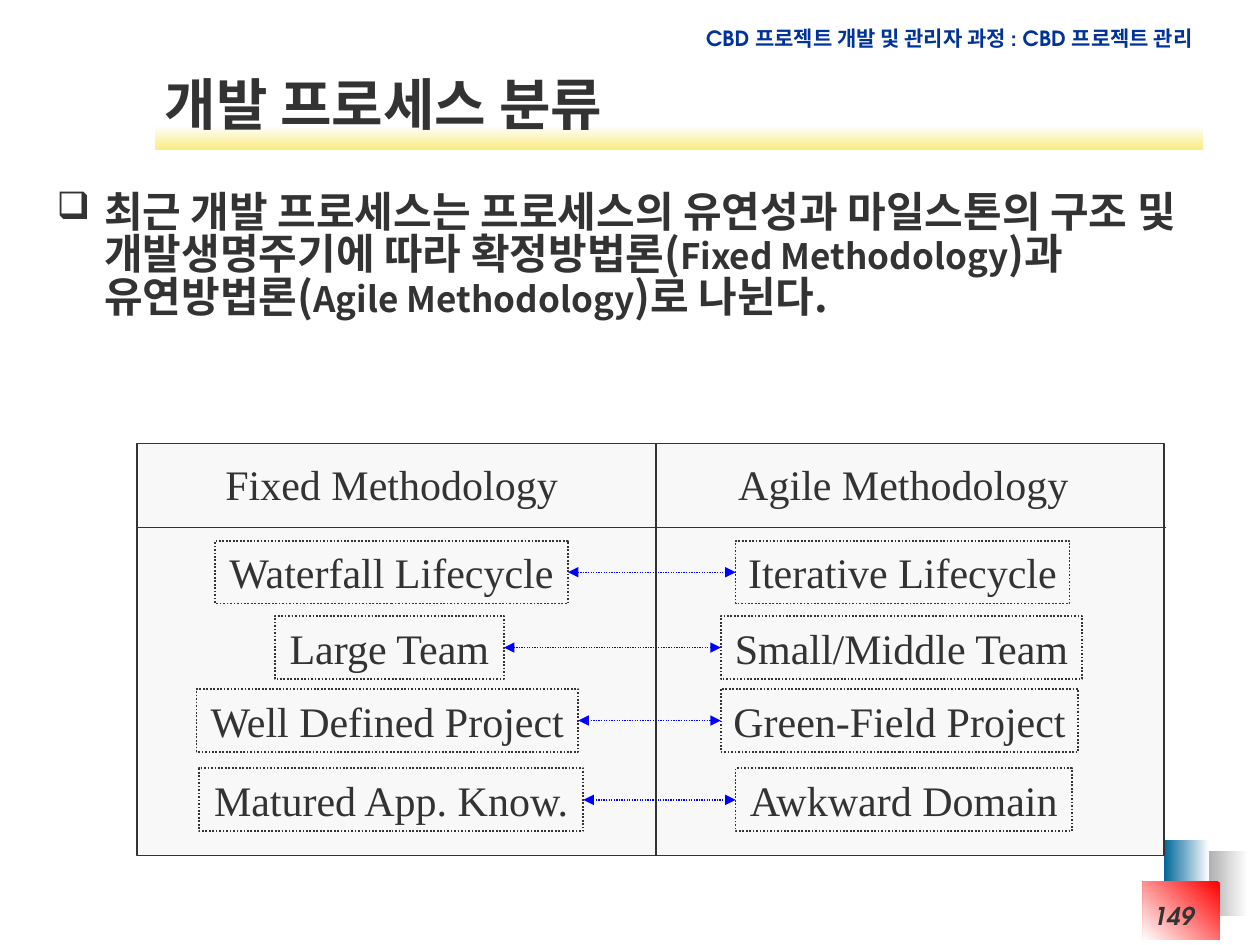
"""Build the slide that compares fixed and agile development processes."""
from lxml import etree
from pptx import Presentation
from pptx import util as u
from pptx.dml.color import RGBColor
from pptx.enum import dml, shapes, text
from pptx.oxml import ns

rgb = RGBColor.from_string
INK, KOREAN, GOTHIC, SERIF = "333333", "Noto Sans CJK KR", "TeX Gyre Adventor", "Times New Roman"
LEFT, CENTER, RIGHT = text.PP_ALIGN.LEFT, text.PP_ALIGN.CENTER, text.PP_ALIGN.RIGHT

prs = Presentation()
prs.slide_width, prs.slide_height = u.Cm(25.4), u.Cm(19.05)
s = prs.slides.add_slide(prs.slide_layouts[6])


def add_rect(box, line=None):
    sp = s.shapes.add_shape(shapes.MSO_SHAPE.RECTANGLE, *map(u.Cm, box))
    sp.shadow.inherit = False
    sp.fill.background()
    if line:
        sp.line.color.rgb = rgb(line)
        sp.line.width = u.Pt(1)
    else:
        sp.line.fill.background()
    return sp


def write(sp, runs, font, align, color=INK, bold=False, italic=False, wrap=True):
    tf = sp.text_frame
    tf.word_wrap = wrap
    p = tf.paragraphs[0]
    p.alignment = align
    for words, size in runs:
        r = p.add_run()
        r.text = words
        r.font.size, r.font.bold, r.font.italic = u.Pt(size), bold, italic
        r.font.color.rgb = rgb(color)
        r.font.name = font
        etree.SubElement(r._r.get_or_add_rPr(), ns.qn("a:ea"), typeface=KOREAN)
    return p


for box, start, end, angle in [
    ((24.13, 17.15, 1.02, 1.32), "FFFFFF", "969696", 180),
    ((23.47, 16.94, 0.91, 1.32), "FFFFFF", "006699", 180),
    ((23.04, 17.78, 1.55, 1.17), "FF0000", "FFFFFF", 225),
    ((3.12, 2.54, 21.13, 0.48), "FEFEFE", "FBEC7F", 270),
]:
    sp = add_rect(box)
    sp.fill.gradient()
    sp.fill.gradient_angle = angle
    for stop, color in zip(sp.fill.gradient_stops, (start, end)):
        stop.color.rgb = rgb(color)

course = s.shapes.add_textbox(u.Cm(13.72), u.Cm(0.46), u.Cm(10.57), u.Cm(0.76))
p = write(course, [("CBD 프로젝트 개발 및 관리자 과정 : CBD 프로젝트 관리", 12)],
          GOTHIC, RIGHT, "003399", bold=True)
p.line_spacing = 0.86

title = s.shapes.add_textbox(u.Cm(3.07), u.Cm(1.3), u.Cm(21.13), u.Cm(1.55))
title.text_frame.vertical_anchor = text.MSO_ANCHOR.MIDDLE
write(title, [("개발 프로세스 분류", 32)], KOREAN, LEFT, bold=True)

body = s.shapes.add_textbox(u.Cm(0.89), u.Cm(3.78), u.Cm(23.37), u.Cm(14))
p = write(body, [
    ("최근 개발 프로세스는 프로세스의 유연성과 마일스톤의 구조 및 개발생명주기에 따라 확정방법론(", 24),
    ("Fixed Methodology", 20),
    (")과 유연방법론(", 24),
    ("Agile Methodology", 20),
    (")로 나뉜다.", 24),
], KOREAN, LEFT, bold=True)
pPr = p._p.get_or_add_pPr()
pPr.set("marL", str(u.Cm(0.96)))
pPr.set("indent", str(-u.Cm(0.96)))
etree.SubElement(etree.SubElement(pPr, ns.qn("a:buClr")), ns.qn("a:srgbClr"), val=INK)
etree.SubElement(pPr, ns.qn("a:buSzPct"), val="90000")
etree.SubElement(pPr, ns.qn("a:buChar"), char="❑")
p.line_spacing = 0.84

for x, w, head_x, head_w, heading in [
    (2.77, 10.46, 4.29, 7.21, "Fixed Methodology"),
    (13.23, 10.24, 14.63, 7.16, "Agile Methodology"),
]:
    panel = add_rect((x, 8.94, w, 8.31), INK)
    panel.fill.solid()
    panel.fill.fore_color.rgb = rgb("F8F8F8")
    sp = s.shapes.add_textbox(u.Cm(head_x), u.Cm(9.12), u.Cm(head_w), u.Cm(1.27))
    write(sp, [(heading, 24)], SERIF, CENTER, wrap=False)

links = []
for y, *pair in [
    (10.9, (4.34, 7.11, "Waterfall Lifecycle"), (14.83, 6.73, "Iterative Lifecycle")),
    (12.42, (5.54, 4.62, "Large Team"), (14.53, 7.29, "Small/Middle Team")),
    (13.89, (3.96, 7.7, "Well Defined Project"), (14.53, 7.21, "Green-Field Project")),
    (15.49, (4.01, 7.75, "Matured App. Know."), (14.83, 6.78, "Awkward Domain")),
]:
    ends = []
    for x, w, label in pair:
        sp = add_rect((x, y, w, 1.27), INK)
        sp.line.dash_style = dml.MSO_LINE.ROUND_DOT
        write(sp, [(label, 24)], SERIF, CENTER, wrap=False)
        ends.append(sp)
    links.append(ends)

for fixed, agile in links + [(None, None)]:
    line = s.shapes.add_connector(shapes.MSO_CONNECTOR.STRAIGHT,
                                  u.Cm(2.77), u.Cm(10.64), u.Cm(23.5), u.Cm(10.64))
    line.line.width = u.Pt(0.75)
    line.line.color.rgb = rgb("0000FF" if fixed else INK)
    if fixed:
        line.begin_connect(fixed, 3)
        line.end_connect(agile, 1)
        line.line.dash_style = dml.MSO_LINE.ROUND_DOT
        for end in ("a:headEnd", "a:tailEnd"):
            etree.SubElement(line.line._get_or_add_ln(), ns.qn(end), type="triangle")
    etree.SubElement(line._element.spPr, ns.qn("a:effectLst"))

number = s.shapes.add_textbox(u.Cm(21.21), u.Cm(18.03), u.Cm(3.12), u.Cm(1.02))
write(number, [("149", 14)], GOTHIC, RIGHT, bold=True, italic=True)

prs.save("out.pptx")
